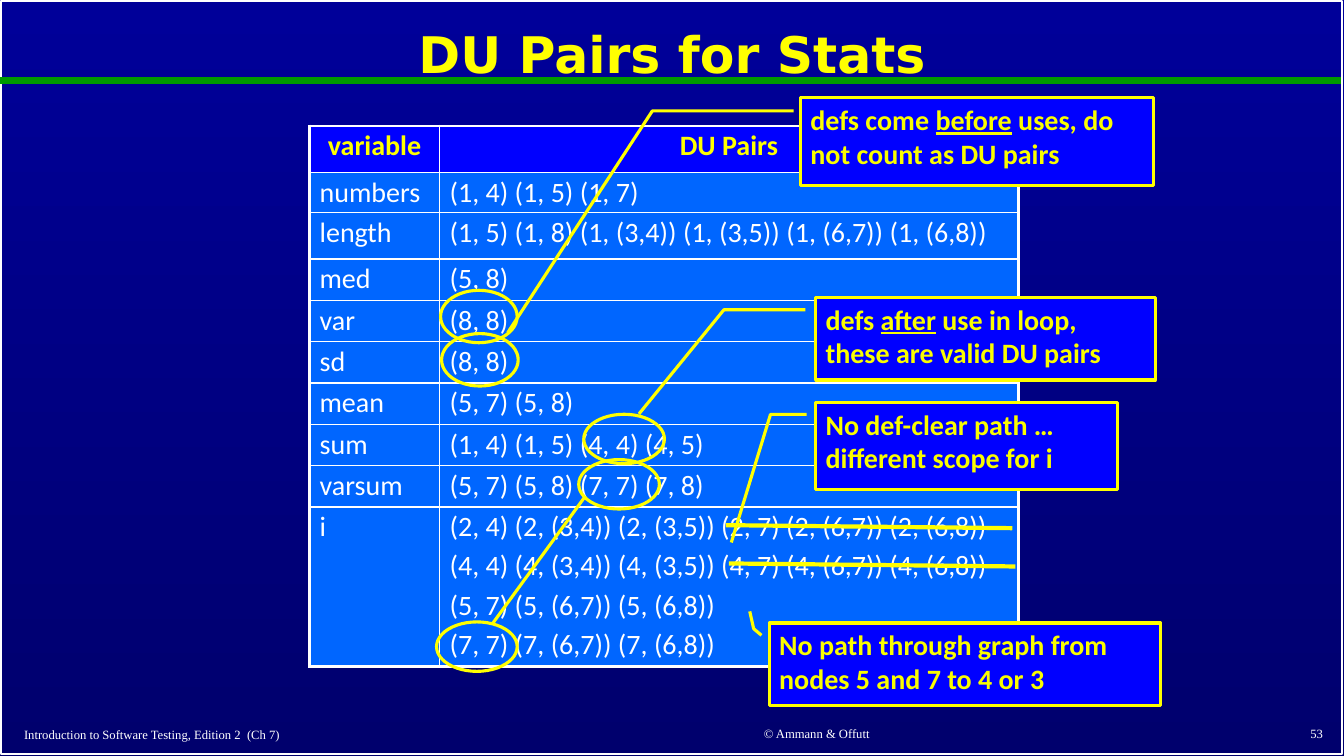
import pptx
import pptx.dml.color
import pptx.enum.shapes
import pptx.enum.text
import pptx.oxml
import pptx.oxml.ns
import pptx.util
from pptx.util import Inches

RGBColor = pptx.dml.color.RGBColor
SHAPE = pptx.enum.shapes.MSO_SHAPE
ALIGN = pptx.enum.text.PP_ALIGN
ANCHOR = pptx.enum.text.MSO_ANCHOR

WHITE = RGBColor(0xFF, 0xFF, 0xFF)
YELLOW = RGBColor(0xFF, 0xFF, 0x00)
CALLOUT_YELLOW = RGBColor(0xFA, 0xFD, 0x00)
GREEN = RGBColor(0x00, 0x99, 0x00)
BLUE = RGBColor(0x00, 0x00, 0xFF)
CELL_BLUE = RGBColor(0x00, 0x66, 0xFF)
SKY_TOP = RGBColor(0x00, 0x00, 0x99)
SKY_BOTTOM = RGBColor(0x00, 0x00, 0x6D)

TITLE_FONT = {"name": "DejaVu Sans", "size": pptx.util.Pt(36), "bold": True}
FOOTER_FONT = {"name": "Times New Roman", "size": pptx.util.Pt(9), "bold": False}
BODY_FONT = {"name": "Calibri", "size": pptx.util.Pt(20), "bold": False}
BOLD_FONT = {**BODY_FONT, "bold": True}
CELL_SPACING = {"line_spacing": 0.9, "space_before": pptx.util.Pt(6)}

DU_PAIRS = [
    ("variable", "DU Pairs"),
    ("numbers", "(1, 4) (1, 5) (1, 7)"),
    ("length", "(1, 5) (1, 8) (1, (3,4)) (1, (3,5)) (1, (6,7)) (1, (6,8))"),
    ("med", "(5, 8)"),
    ("var", "(8, 8)"),
    ("sd", "(8, 8)"),
    ("mean", "(5, 7) (5, 8)"),
    ("sum", "(1, 4) (1, 5) (4, 4) (4, 5)"),
    ("varsum", "(5, 7) (5, 8) (7, 7) (7, 8)"),
    ("i", "(2, 4) (2, (3,4)) (2, (3,5)) (2, 7) (2, (6,7)) (2, (6,8))\n"
          "(4, 4) (4, (3,4)) (4, (3,5)) (4, 7) (4, (6,7)) (4, (6,8))\n"
          "(5, 7) (5, (6,7)) (5, (6,8))\n"
          "(7, 7) (7, (6,7)) (7, (6,8))"),
]
COLUMN_WIDTHS = [1.29, 5.74]
ROW_HEIGHTS = [0.46, 0.4, 0.46] + [0.41] * 6 + [1.58]


def set_attributes(target, values):
    for name, value in values.items():
        setattr(target, name, value)


class SlideBuilder:
    def __init__(self, presentation):
        self.slide = presentation.slides.add_slide(presentation.slide_layouts[5])
        self.shapes = self.slide.shapes

    def background(self, top_color, bottom_color):
        fill = self.slide.background.fill
        fill.gradient()
        fill.gradient_angle = 270
        for stop, color in zip(fill.gradient_stops, (top_color, bottom_color)):
            stop.color.rgb = color

    def add_text(self, frame, text, font, color, **paragraph_format):
        """Fill a frame: newlines part paragraphs, underscores enclose underlined words."""
        frame.word_wrap = True
        for index, line in enumerate(text.split("\n")):
            paragraph = frame.add_paragraph() if index else frame.paragraphs[0]
            set_attributes(paragraph, paragraph_format)
            for part, words in enumerate(line.split("_")):
                run = paragraph.add_run()
                run.text = words
                set_attributes(run.font, font)
                run.font.color.rgb = color
                if part % 2:
                    run.font.underline = True

    def title(self, text, box):
        title = self.shapes.title
        title.left, title.top, title.width, title.height = map(Inches, box)
        title.text_frame.vertical_anchor = ANCHOR.MIDDLE
        self.add_text(title.text_frame, text, TITLE_FONT, YELLOW,
                      alignment=ALIGN.CENTER, line_spacing=0.9)

    def footer(self, text, box, alignment):
        frame = self.shapes.add_textbox(*map(Inches, box)).text_frame
        frame.vertical_anchor = ANCHOR.MIDDLE
        self.add_text(frame, text, FOOTER_FONT, WHITE, alignment=alignment)

    def outline(self, preset, box, color=YELLOW, width=2.25):
        shape = self.shapes.add_shape(preset, *map(Inches, box))
        shape.shadow.inherit = False
        shape.fill.background()
        shape.line.color.rgb = color
        shape.line.width = pptx.util.Pt(width)
        return shape

    def callout(self, text, box, leader):
        shape = self.outline(SHAPE.LINE_CALLOUT_2, box)
        shape.fill.solid()
        shape.fill.fore_color.rgb = BLUE
        for index, value in enumerate(leader):
            shape.adjustments[index] = value
        shape.text_frame.vertical_anchor = ANCHOR.TOP
        self.add_text(shape.text_frame, text, BOLD_FONT, CALLOUT_YELLOW,
                      alignment=ALIGN.LEFT)

    def line(self, start, end, color=YELLOW, width=3):
        connector = self.shapes.add_connector(
            pptx.enum.shapes.MSO_CONNECTOR.STRAIGHT, *map(Inches, start + end))
        connector.line.color.rgb = color
        connector.line.width = pptx.util.Pt(width)
        properties = connector._element.spPr
        properties.append(pptx.oxml.parse_xml(
            f"<a:effectLst {pptx.oxml.ns.nsdecls('a')}/>"))

    def cell_borders(self, cell, widths):
        """Draw white borders; widths gives points for the L, R, T and B sides."""
        properties = cell._tc.get_or_add_tcPr()
        for index, (side, width) in enumerate(widths.items()):
            properties.insert(index, pptx.oxml.parse_xml(
                f"<a:ln{side} {pptx.oxml.ns.nsdecls('a')} w='{pptx.util.Pt(width)}'>"
                f"<a:solidFill><a:srgbClr val='{WHITE}'/></a:solidFill></a:ln{side}>"))

    def table(self, rows, left, top):
        size = (sum(COLUMN_WIDTHS), sum(ROW_HEIGHTS))
        table = self.shapes.add_table(
            len(rows), len(COLUMN_WIDTHS), *map(Inches, (left, top) + size)).table
        for column, width in zip(table.columns, COLUMN_WIDTHS):
            column.width = Inches(width)
        for row, height in zip(table.rows, ROW_HEIGHTS):
            row.height = Inches(height)
        for row_index, texts in enumerate(rows):
            header = row_index == 0
            for column_index, text in enumerate(texts):
                cell = table.cell(row_index, column_index)
                cell.fill.solid()
                cell.fill.fore_color.rgb = BLUE if header else CELL_BLUE
                self.add_text(cell.text_frame, text,
                              BOLD_FONT if header else BODY_FONT,
                              YELLOW if header else WHITE,
                              alignment=ALIGN.CENTER if header else ALIGN.LEFT,
                              **CELL_SPACING)
                outer = {"L": column_index == 0,
                         "R": column_index == len(texts) - 1,
                         "T": header,
                         "B": row_index == len(rows) - 1}
                self.cell_borders(cell, {side: 2.25 if edge else 1
                                         for side, edge in outer.items()})


def main():
    presentation = pptx.Presentation()
    presentation.slide_width = Inches(13.33)
    presentation.slide_height = Inches(7.5)
    builder = SlideBuilder(presentation)

    builder.background(SKY_TOP, SKY_BOTTOM)
    builder.outline(SHAPE.RECTANGLE, (0.01, 0.01, 13.3, 7.47), WHITE, 1)
    builder.line((0, 0.8), (13.3, 0.8), GREEN, 4.5)
    builder.title("DU Pairs for Stats", (0.1, 0.11, 13.13, 0.92))
    builder.footer("Introduction to Software Testing, Edition 2  (Ch 7)",
                   (0.14, 7.16, 5.48, 0.26), ALIGN.LEFT)
    builder.footer("© Ammann & Offutt", (5.99, 7.15, 4.22, 0.26), ALIGN.CENTER)
    builder.footer("53", (10.44, 7.15, 2.78, 0.26), ALIGN.RIGHT)
    builder.table(DU_PAIRS, 3.07, 1.25)

    for start, end in [((7.2, 5.21), (10.04, 5.24)), ((7.23, 5.59), (10.07, 5.62))]:
        builder.line(start, end)
    builder.callout("No def-clear path …\ndifferent scope for i", (8.09, 3.99, 2.99, 0.87),
                    (0.14, -0.03, 0.14, -0.15, 1.6, -0.28))
    builder.callout("No path through graph from nodes 5 and 7 to 4 or 3",
                    (7.63, 6.18, 3.88, 0.82), (0.15, -0.02, 0.07, -0.04, -0.14, -0.05))
    builder.callout("defs come _before_ uses, do not count as DU pairs",
                    (7.94, 0.97, 3.5, 0.87), (0.15, -0.02, 0.15, -0.42, 2.68, -0.83))
    builder.callout("defs _after_ use in loop, these are valid DU pairs",
                    (8.09, 2.95, 3.37, 0.82), (0.15, -0.03, 0.15, -0.27, 1.41, -0.52))

    for left, top in [(4.38, 3.31), (4.37, 2.88)]:
        builder.outline(SHAPE.OVAL, (left, top, 0.76, 0.52))
    for left, top in [(5.79, 4.11), (4.33, 6.17), (5.74, 4.56)]:
        builder.outline(SHAPE.OVAL, (left, top, 0.8, 0.49))
    builder.line((4.89, 6.18), (5.8, 4.93), width=2.25)

    presentation.save("out.pptx")


if __name__ == "__main__":
    main()
